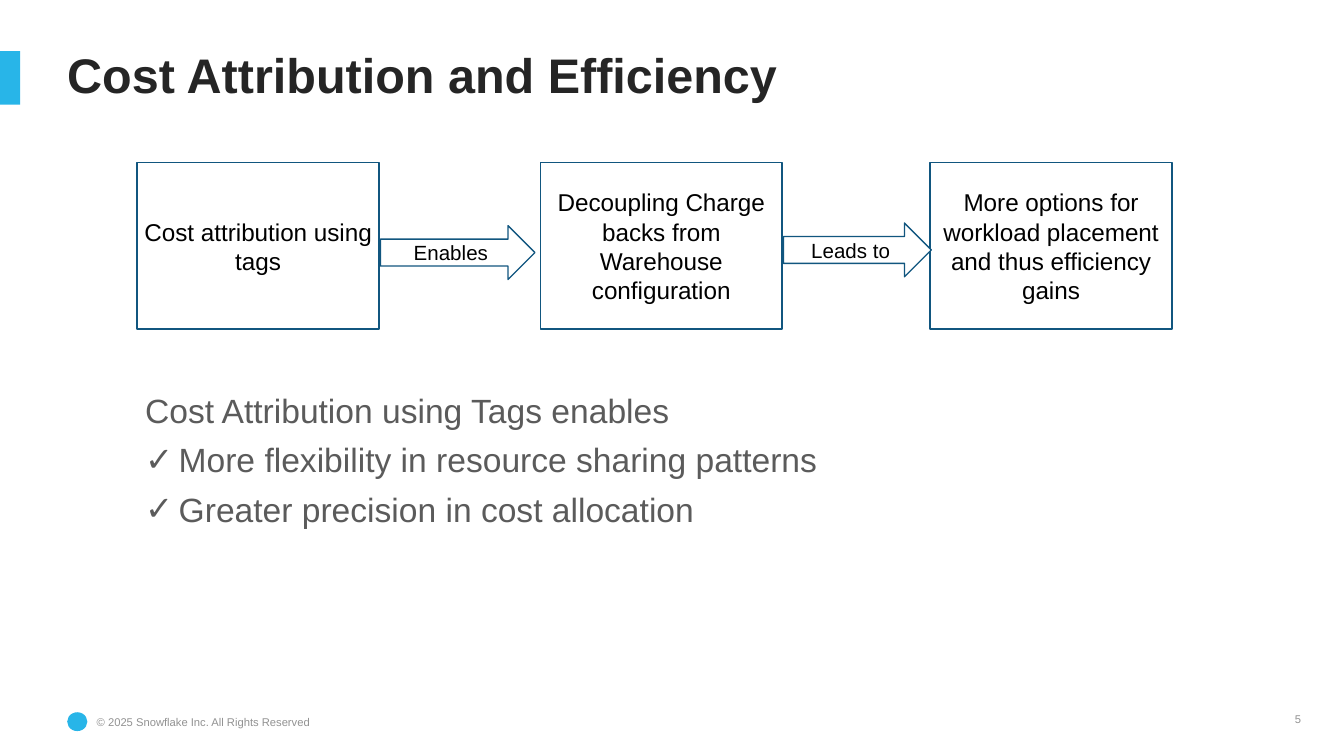
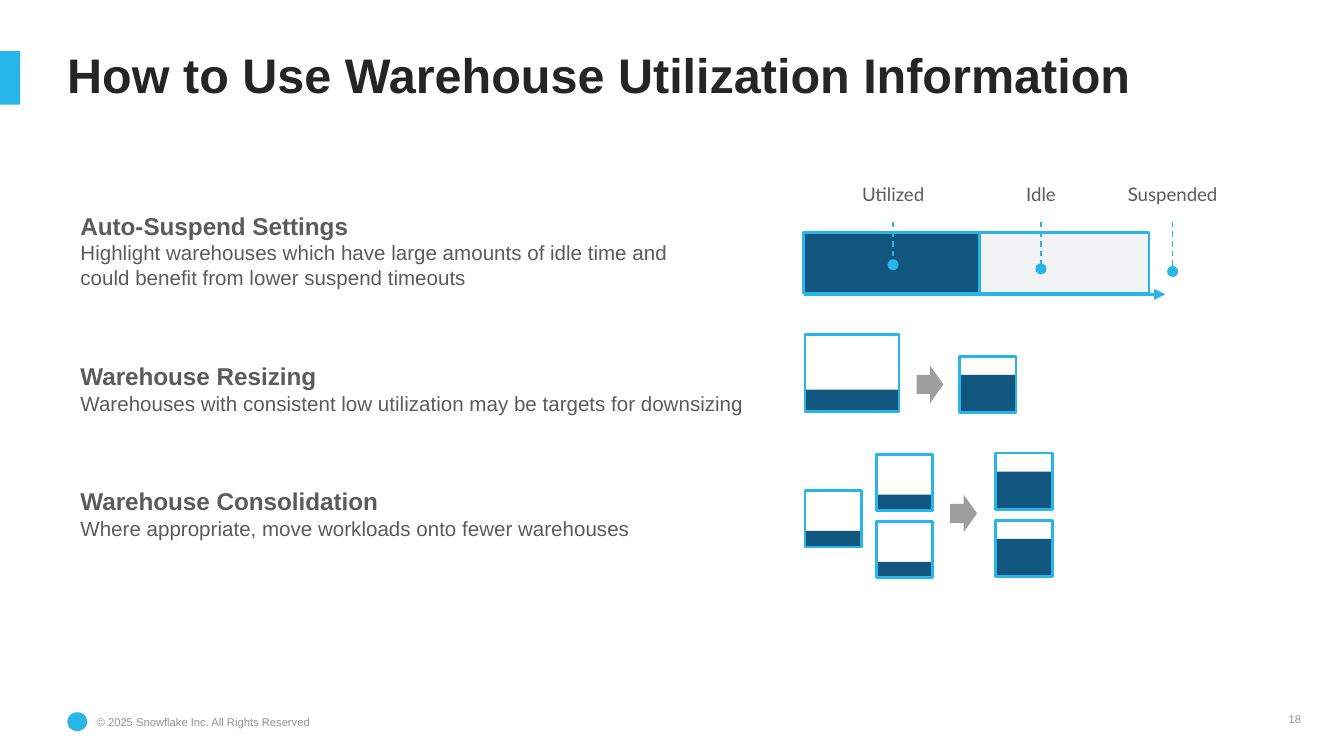
from copy import deepcopy
from dataclasses import dataclass
from typing import NamedTuple

from lxml.etree import SubElement
from pptx import Presentation
from pptx.dml.color import RGBColor
from pptx.enum.dml import MSO_LINE
from pptx.enum.shapes import MSO_CONNECTOR, MSO_SHAPE
from pptx.enum.text import MSO_ANCHOR, MSO_AUTO_SIZE, PP_ALIGN
from pptx.oxml.ns import qn
from pptx.util import Emu, Inches, Pt

# The slide is a grid of square cells, 100 columns wide.
COLUMNS, ROWS = 100, 56.25
CELL = Inches(0.1)

SKY, NAVY, WHITE, BLACK = "28B5E8", "11567F", "FFFFFF", "000000"
INK, BODY, MUTED, PALE, ARROW = "252525", "5B5B5B", "929292", "F1F3F4", "9E9E9E"
RECT, RIGHT_ARROW = MSO_SHAPE.RECTANGLE, MSO_SHAPE.RIGHT_ARROW
LEFT, CENTER, RIGHT = PP_ALIGN.LEFT, PP_ALIGN.CENTER, PP_ALIGN.RIGHT


class Area(NamedTuple):
    """Left column, top row, width and height in grid cells."""
    col: float
    row: float
    w: float
    h: float


class Style(NamedTuple):
    size: float
    color: str
    bold: bool = False
    font: str = "Arial"


@dataclass(frozen=True)
class Topic:
    area: Area
    heading: str
    detail: str


@dataclass(frozen=True)
class Callout:
    col: float
    label: str
    end_row: float


@dataclass(frozen=True)
class Tank:
    """A warehouse outline, filled from the bottom up to a level."""
    col: float
    row: float
    level: float
    w: float = 4.2
    h: float = 4.2


TITLE = Style(26, INK, True)
FOOTER = Style(6, MUTED)
STEP = Style(13, BLACK)
LINK = Style(11, BLACK)
LIST = Style(18, BODY)
HEADING = Style(13, BODY, True)
DETAIL = Style(11, BODY)
CALLOUT = Style(10, BODY, font="Lato")

STEP_ROW, STEP_W, STEP_H = 12.1, 18, 12.4
STEPS = [
    (10.2, "Cost attribution using tags"),
    (40.2, "Decoupling Charge backs from Warehouse configuration"),
    (69.2, "More options for workload placement and thus efficiency gains"),
]
LINKS = [(Area(28.3, 16.8, 11.5, 4), "Enables"), (Area(58.3, 16.6, 11, 4), "Leads to")]
BENEFITS = ["More flexibility in resource sharing patterns",
            "Greater precision in cost allocation"]

TOPICS = [
    Topic(Area(5, 14.7, 47.8, 7.9), "Auto-Suspend Settings",
          "Highlight warehouses which have large amounts of idle time and "
          "could benefit from lower suspend timeouts"),
    Topic(Area(5, 25.9, 51.7, 6.1), "Warehouse Resizing",
          "Warehouses with consistent low utilization may be targets for downsizing"),
    Topic(Area(5, 35.2, 44.4, 6.1), "Warehouse Consolidation",
          "Where appropriate, move workloads onto fewer warehouses"),
]
CALLOUTS = [Callout(61.9, "Utilized", 19.7), Callout(72.9, "Idle", 20),
            Callout(82.7, "Suspended", 20.2)]
LOW, HIGH = 1.2, 2.8
TANKS = [
    Tank(59.9, 24.9, 1.6, 7, 5.7), Tank(71.4, 26.5, HIGH),
    Tank(59.9, 36.5, LOW), Tank(65.2, 33.8, LOW), Tank(65.2, 38.8, LOW),
    Tank(74.1, 33.7, HIGH), Tank(74.1, 38.7, HIGH),
]


def cells(n: float) -> Emu:
    return Emu(round(n * CELL))


def rgb(color: str) -> RGBColor:
    return RGBColor.from_string(color)


def place(sp, area: Area) -> None:
    sp.left, sp.top, sp.width, sp.height = map(cells, area)


def set_frame(tf, inset_x: float, inset_y: float, anchor=MSO_ANCHOR.TOP,
              grow: bool = False) -> None:
    tf.word_wrap = True
    tf.auto_size = MSO_AUTO_SIZE.SHAPE_TO_FIT_TEXT if grow else MSO_AUTO_SIZE.NONE
    tf.margin_left = tf.margin_right = cells(inset_x)
    tf.margin_top = tf.margin_bottom = cells(inset_y)
    tf.vertical_anchor = anchor


def add_run(p, text: str, style: Style):
    r = p.add_run()
    r.text = text
    r.font.size, r.font.bold, r.font.name = Pt(style.size), style.bold, style.font
    r.font.color.rgb = rgb(style.color)
    return r


def add_shape(slide, kind, area: Area, fill: str = "", line: str = "",
              weight: float = 1.5):
    sp = slide.shapes.add_shape(kind, *map(cells, area))
    sp.shadow.inherit = False
    if fill:
        sp.fill.solid()
        sp.fill.fore_color.rgb = rgb(fill)
    else:
        sp.fill.background()
    if line:
        sp.line.color.rgb = rgb(line)
        sp.line.width = Pt(weight)
    else:
        sp.line.fill.background()
    return sp


def add_labelled(slide, kind, area: Area, text: str, style: Style) -> None:
    sp = add_shape(slide, kind, area, WHITE, NAVY, 0.75)
    set_frame(sp.text_frame, 0.5, 0.5, MSO_ANCHOR.MIDDLE)
    p = sp.text_frame.paragraphs[0]
    p.alignment = CENTER
    add_run(p, text, style)


def add_text(slide, area: Area, text: str, style: Style, align=LEFT,
             inset_x: float = 1, inset_y: float = 1, grow: bool = True):
    sp = slide.shapes.add_textbox(*map(cells, area))
    set_frame(sp.text_frame, inset_x, inset_y, grow=grow)
    p = sp.text_frame.paragraphs[0]
    p.alignment = align
    add_run(p, text, style)
    return sp


def add_line(slide, start: tuple[float, float], end: tuple[float, float],
             weight: float = 1.5, tail: str = "", dashed: bool = False):
    cx = slide.shapes.add_connector(MSO_CONNECTOR.STRAIGHT, *map(cells, start + end))
    cx.line.color.rgb = rgb(SKY)
    cx.line.width = Pt(weight)
    if dashed:
        cx.line.dash_style = MSO_LINE.DASH
    if tail:
        SubElement(cx.line._get_or_add_ln(), qn("a:tailEnd"), type=tail)
    SubElement(cx._element.spPr, qn("a:effectLst"))
    return cx


def set_bullet(p, char: str = "", indent: float = 0) -> None:
    """Give the paragraph a hanging bullet, or none when char is empty."""
    pPr = p._p.get_or_add_pPr()
    pPr.set("marL", str(cells(indent)))
    pPr.set("indent", str(-cells(indent)))
    if char:
        color = SubElement(pPr, qn("a:buClr"))
        SubElement(color, qn("a:srgbClr"), val=BODY)
        SubElement(pPr, qn("a:buFont"), typeface="Arial")
        SubElement(pPr, qn("a:buChar"), char=char)
    else:
        SubElement(pPr, qn("a:buNone"))


def new_slide(prs, layout: int, title: str, number: int):
    """Add a slide with its title, accent band and footer."""
    slide = prs.slides.add_slide(prs.slide_layouts[layout])
    add_shape(slide, MSO_SHAPE.OVAL, Area(5, 53, 1.5, 1.4), SKY)
    add_text(slide, Area(7.2, 53.2, 18.4, 1),
             "© 2025 Snowflake Inc. All Rights Reserved", FOOTER,
             inset_x=0, inset_y=0, grow=False)
    add_text(slide, Area(91.1, 52.8, 6.2, 1.5), str(number), FOOTER, RIGHT, 0.5, 0.2)
    add_shape(slide, RECT, Area(0, 3.8, 1.5, 4), SKY)
    sp = slide.shapes.title
    place(sp, Area(4, 3, 91, 4))
    set_frame(sp.text_frame, 1, 1)
    p = sp.text_frame.paragraphs[0]
    p.alignment, p.line_spacing = LEFT, 0.85
    add_run(p, title, TITLE)
    return slide


def build_attribution(prs) -> None:
    slide = new_slide(prs, 1, "Cost Attribution and Efficiency", 5)
    for col, text in STEPS:
        add_labelled(slide, RECT, Area(col, STEP_ROW, STEP_W, STEP_H), text, STEP)
    for area, text in LINKS:
        add_labelled(slide, RIGHT_ARROW, area, text, LINK)

    body = slide.placeholders[1]
    place(body, Area(10.3, 28.5, 73.1, 21.1))
    tf = body.text_frame
    set_frame(tf, 0.5, 0.5)
    p = tf.paragraphs[0]
    set_bullet(p)
    p.space_before = Pt(0)
    add_run(p, "Cost Attribution using Tags enables", LIST)
    for benefit in BENEFITS:
        p = tf.add_paragraph()
        set_bullet(p, "✓", 2.5)
        p.space_before = Pt(5)
        add_run(p, benefit, LIST)


def add_topic(slide, topic: Topic) -> None:
    sp = add_text(slide, topic.area, topic.heading, HEADING)
    p = sp.text_frame.paragraphs[0]
    p.add_line_break()
    p._p.find(qn("a:br")).append(deepcopy(p.runs[0]._r.rPr))
    add_run(p, topic.detail, DETAIL)


def add_callout(slide, callout: Callout) -> None:
    area = Area(callout.col, 12.8, 9.1, 3.7)
    label = add_text(slide, area, callout.label, CALLOUT, CENTER)
    middle = area.col + area.w / 2
    cx = add_line(slide, (middle, area.row + area.h), (middle, callout.end_row),
                  0.75, "oval", True)
    cx.begin_connect(label, 2)


def add_tank(slide, tank: Tank) -> None:
    top = tank.row + tank.h - tank.level
    add_shape(slide, RECT, Area(tank.col, top, tank.w, tank.level), NAVY)
    add_shape(slide, RECT, Area(tank.col, tank.row, tank.w, tank.h), line=SKY)


def build_utilization(prs) -> None:
    slide = new_slide(prs, 5, "How to Use Warehouse Utilization Information", 18)
    left, top, bottom = 59.8, 17.3, 21.9
    add_shape(slide, RECT, Area(left, top, 13.1, 4.5), NAVY, SKY)
    add_shape(slide, RECT, Area(left + 13.1, top, 12.6, 4.5), PALE, SKY)
    add_line(slide, (left, top), (left, bottom))
    add_line(slide, (left, bottom), (86.7, bottom), tail="triangle")
    for callout in CALLOUTS:
        add_callout(slide, callout)
    for topic in TOPICS:
        add_topic(slide, topic)
    for tank in TANKS:
        add_tank(slide, tank)
    for col, row in [(68.2, 27.2), (70.7, 36.8)]:
        add_shape(slide, RIGHT_ARROW, Area(col, row, 2, 2.8), ARROW)


def main() -> None:
    prs = Presentation()
    prs.slide_width, prs.slide_height = cells(COLUMNS), cells(ROWS)
    build_attribution(prs)
    build_utilization(prs)
    prs.save("out.pptx")


if __name__ == "__main__":
    main()
